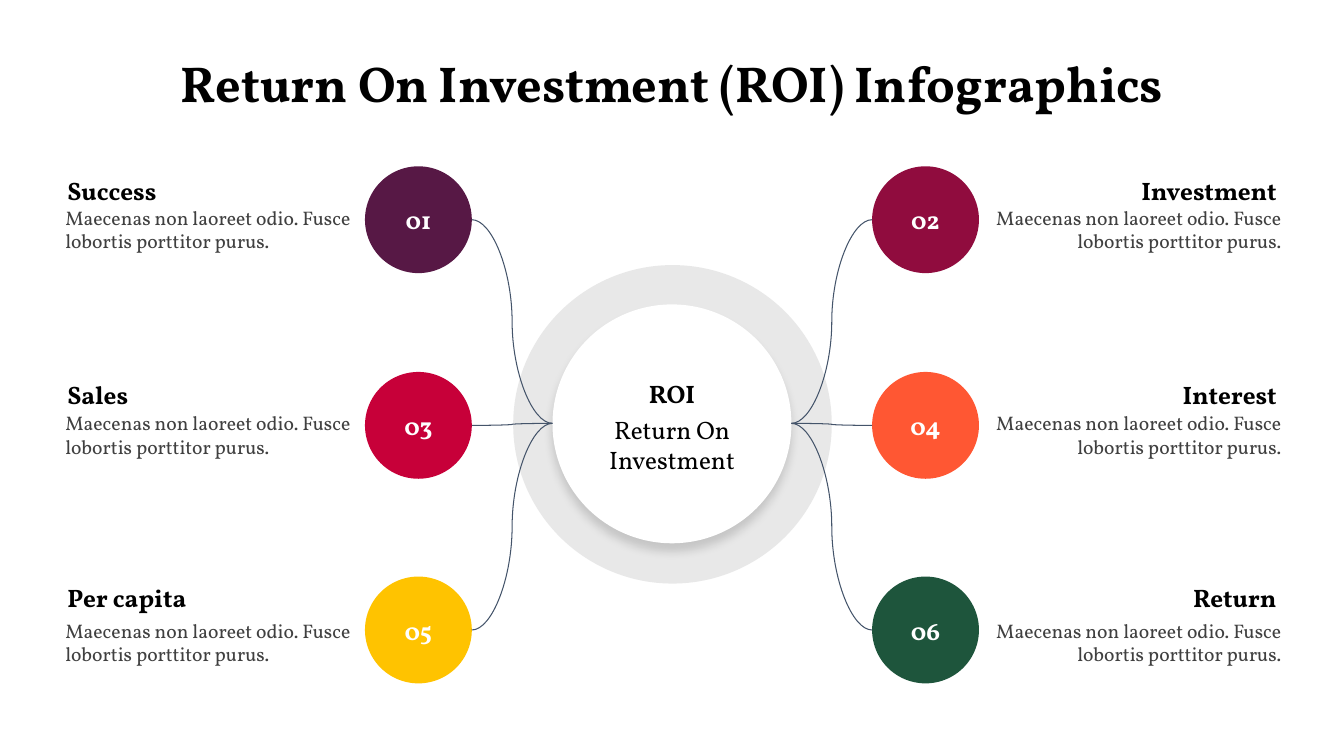
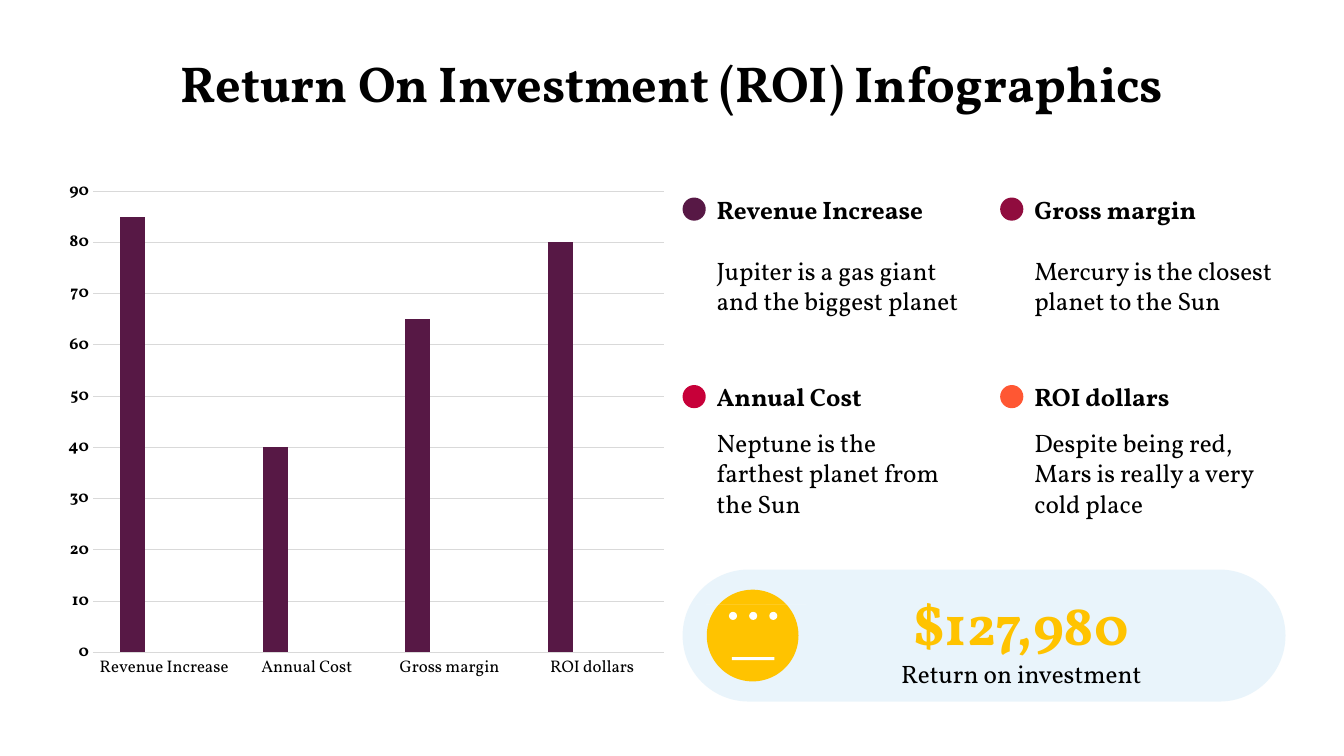
from lxml import etree
from pptx import Presentation
from pptx.chart.data import CategoryChartData
from pptx.dml.color import RGBColor
from pptx.enum.chart import XL_CHART_TYPE, XL_TICK_MARK
from pptx.enum.shapes import MSO_CONNECTOR, MSO_SHAPE
from pptx.enum.text import MSO_ANCHOR, MSO_AUTO_SIZE, PP_ALIGN
from pptx.oxml.ns import qn
from pptx.util import Inches, Pt

# Shared style
FONT = "Vollkorn"
BLACK, WHITE, DARK_GREY, LIGHT_GREY = "000000", "FFFFFF", "404040", "D9D9D9"
PLUM, WINE, RED, ORANGE = "571845", "900C3E", "C70039", "FF5733"
YELLOW, GREEN, SLATE, SKY = "FFC300", "1E553C", "44546A", "55B0E2"
TITLE = "Return On Investment (ROI) Infographics"
TITLE_STYLE = {"size": Pt(36), "bold": True}
HEADING = {"size": Pt(18), "bold": True}
BODY = {"size": Pt(18), "bold": False}
SMALL = {"size": Pt(14), "bold": False}
AMOUNT = {"size": Pt(40), "bold": True}
AXIS = {"size": Pt(12), "bold": False}
AXIS_BOLD = {"size": Pt(12), "bold": True}

# Slide 1: circle, heading and description tops, then (number, heading, colour) left and right
DESCRIPTION = "Maecenas non laoreet odio. Fusce lobortis porttitor purus."
ROWS = [
    (1.65, 1.68, 1.99, ("01", "Success", PLUM), ("02", "Investment", WINE)),
    (3.69, 3.71, 4.03, ("03", "Sales", RED), ("04", "Interest", ORANGE)),
    (5.72, 5.72, 6.09, ("05", "Per capita", YELLOW), ("06", "Return", GREEN)),
]
# circle left, heading left, description left, alignment, hub edge, circle edge
SIDES = [
    (3.62, 0.57, 0.55, PP_ALIGN.LEFT, 5.48, 4.68),
    (8.65, 9.71, 9.76, PP_ALIGN.RIGHT, 7.85, 8.65),
]
NODE_SIZE, HUB_MIDDLE = 1.06, 4.2

# Slide 2
CATEGORIES = ["Revenue Increase", "Annual Cost", "Gross margin", "ROI dollars"]
SERIES = [
    ("Series 1", [85, 40, 65, 80], PLUM),
    ("Series 2", [None] * 4, WINE),
    ("Series 3", [None] * 4, RED),
]
PLOT_LAYOUT = {"x": 0.055, "y": 0.024, "w": 0.913, "h": 0.87}
NOTES = [
    ("Revenue Increase", "Jupiter is a gas giant and the biggest planet", PLUM),
    ("Gross margin", "Mercury is the closest planet to the Sun", WINE),
    ("Annual Cost", "Neptune is the farthest planet from the Sun", RED),
    ("ROI dollars", "Despite being red, Mars is really a very cold place", ORANGE),
]
CROWN = [(7.26, 6.17), (7.28, 6.17), (7.38, 6.26), (7.47, 6.17), (7.56, 6.26),
         (7.66, 6.17), (7.68, 6.17), (7.68, 6.49), (7.26, 6.49)]
DOLLAR_HOLE = [
    (7.46, 6.27), (7.46, 6.3), (7.44, 6.3), (7.41, 6.32), (7.41, 6.35), (7.44, 6.37),
    (7.49, 6.37), (7.49, 6.39), (7.43, 6.39), (7.43, 6.42), (7.46, 6.42), (7.46, 6.45),
    (7.48, 6.45), (7.48, 6.42), (7.49, 6.42), (7.52, 6.4), (7.52, 6.36), (7.49, 6.34),
    (7.45, 6.34), (7.45, 6.33), (7.51, 6.33), (7.51, 6.3), (7.48, 6.3), (7.48, 6.27),
]


def color(value):
    return RGBColor.from_string(value)


def box(left, top, width, height):
    return [Inches(length) for length in (left, top, width, height)]


def style_font(font, values, font_color):
    for name, value in {"name": FONT, **values}.items():
        setattr(font, name, value)
    font.color.rgb = color(font_color)


def fill_shape(shape, fill, opacity=100):
    shape.shadow.inherit = False
    shape.line.fill.background()
    shape.fill.solid()
    shape.fill.fore_color.rgb = color(fill)
    if opacity < 100:
        source = shape._element.spPr.find(qn("a:solidFill"))[0]
        etree.SubElement(source, qn("a:alpha"), val=str(opacity * 1000))


def write_text(shape, text, style, font_color, align, anchor=MSO_ANCHOR.MIDDLE, inset=0.1):
    frame = shape.text_frame
    values = {"word_wrap": True, "vertical_anchor": anchor, "margin_left": Inches(0.1),
              "margin_right": Inches(0.1), "margin_top": Inches(inset),
              "margin_bottom": Inches(inset)}
    for name, value in values.items():
        setattr(frame, name, value)
    paragraph = frame.paragraphs[0]
    paragraph.alignment = align
    run = paragraph.add_run()
    run.text = text
    style_font(run.font, style, font_color)


def add_text(slide, bounds, text, style, font_color=BLACK, align=PP_ALIGN.LEFT):
    write_text(slide.shapes.add_textbox(*box(*bounds)), text, style, font_color, align)


def add_growing_text(slide, bounds, text, style, font_color, align):
    shape = slide.shapes.add_textbox(*box(*bounds))
    write_text(shape, text, style, font_color, align, MSO_ANCHOR.TOP, 0.05)
    shape.text_frame.auto_size = MSO_AUTO_SIZE.SHAPE_TO_FIT_TEXT


def add_circle(slide, left, top, size, fill, opacity=100):
    shape = slide.shapes.add_shape(MSO_SHAPE.OVAL, *box(left, top, size, size))
    fill_shape(shape, fill, opacity)
    return shape


def add_soft_shadow(shape):
    effects = shape._element.spPr.find(qn("a:effectLst"))
    shadow = etree.SubElement(effects, qn("a:outerShdw"), blurRad=str(Pt(6.8)),
                              dist=str(Pt(5.2)), dir="5400000", algn="t", rotWithShape="0")
    source = etree.SubElement(shadow, qn("a:srgbClr"), val=BLACK)
    etree.SubElement(source, qn("a:alpha"), val="15000")


def add_curve(slide, start_x, start_y, end_x, end_y):
    connector = slide.shapes.add_connector(
        MSO_CONNECTOR.CURVE, *box(start_x, start_y, end_x, end_y))
    connector.line.color.rgb = color(SLATE)
    connector.line.width = Pt(0.75)
    etree.SubElement(connector._element.spPr, qn("a:effectLst"))


def add_outline(slide, contours, fill):
    first, *others = contours
    builder = slide.shapes.build_freeform(*first[0], scale=Inches(1))
    builder.add_line_segments(first[1:], close=True)
    for contour in others:
        builder.move_to(*contour[0])
        builder.add_line_segments(contour[1:], close=True)
    fill_shape(builder.convert_to_shape(), fill)


def add_titled_slide(presentation):
    slide = presentation.slides.add_slide(presentation.slide_layouts[6])
    add_growing_text(slide, (0, 0.47, 13.33, 0.71), TITLE, TITLE_STYLE, BLACK, PP_ALIGN.CENTER)
    return slide


def add_node(slide, row, side, number, heading, fill):
    circle_top, heading_top, description_top = row
    circle_left, heading_left, description_left, align, hub_edge, circle_edge = side
    add_text(slide, (heading_left, heading_top, 3.05, 0.41), heading, HEADING, align=align)
    circle = add_circle(slide, circle_left, circle_top, NODE_SIZE, fill)
    write_text(circle, number, HEADING, WHITE, PP_ALIGN.CENTER)
    add_curve(slide, hub_edge, HUB_MIDDLE, circle_edge, circle_top + NODE_SIZE / 2)
    add_growing_text(slide, (description_left, description_top, 3.05, 0.57),
                     DESCRIPTION, SMALL, DARK_GREY, align)


def build_hub_slide(presentation):
    slide = add_titled_slide(presentation)
    # Hub
    add_circle(slide, 5.09, 2.63, 3.16, LIGHT_GREY, 60)
    add_soft_shadow(add_circle(slide, 5.48, 3.02, 2.37, WHITE))
    add_text(slide, (5.86, 3.7, 1.61, 0.41), "ROI", HEADING, align=PP_ALIGN.CENTER)
    add_text(slide, (5.86, 4.11, 1.61, 0.6), "Return On Investment", BODY,
             align=PP_ALIGN.CENTER)
    # Nodes around it
    for *row, left_node, right_node in ROWS:
        for side, node in zip(SIDES, (left_node, right_node)):
            add_node(slide, row, side, *node)


def set_plot_layout(chart):
    plot_area = chart._chartSpace.chart.plotArea
    for old_layout in plot_area.findall(qn("c:layout")):
        plot_area.remove(old_layout)
    layout = etree.Element(qn("c:layout"))
    manual = etree.SubElement(layout, qn("c:manualLayout"))
    values = {"layoutTarget": "inner", "xMode": "edge", "yMode": "edge", **PLOT_LAYOUT}
    for name, value in values.items():
        etree.SubElement(manual, qn(f"c:{name}"), val=str(value))
    plot_area.insert(0, layout)


def add_column_chart(slide):
    data = CategoryChartData()
    data.categories = CATEGORIES
    for name, values, _ in SERIES:
        data.add_series(name, values)
    chart = slide.shapes.add_chart(
        XL_CHART_TYPE.COLUMN_CLUSTERED, *box(0.58, 1.77, 6.2, 5.26), data).chart
    chart.has_legend = chart.has_title = False
    style_font(chart.font, AXIS, BLACK)
    set_plot_layout(chart)
    # Columns
    plot = chart.plots[0]
    for name, value in {"gap_width": 219, "overlap": -27, "vary_by_categories": False}.items():
        setattr(plot, name, value)
    for series, (_, _, fill) in zip(plot.series, SERIES):
        series.format.fill.solid()
        series.format.fill.fore_color.rgb = color(fill)
    # Axes
    category_axis, value_axis = chart.category_axis, chart.value_axis
    for axis, style in ((category_axis, AXIS), (value_axis, AXIS_BOLD)):
        axis.major_tick_mark = axis.minor_tick_mark = XL_TICK_MARK.NONE
        style_font(axis.tick_labels.font, style, BLACK)
    scale = {"minimum_scale": 0, "maximum_scale": 90, "major_unit": 10,
             "has_major_gridlines": True}
    for name, value in scale.items():
        setattr(value_axis, name, value)
    value_axis.format.line.fill.background()
    for line in (category_axis.format.line, value_axis.major_gridlines.format.line):
        line.color.rgb = color(LIGHT_GREY)
        line.width = Pt(0.75)


def add_note(slide, index, heading, body, fill):
    row, column = divmod(index, 2)
    left, top = 6.77 + 3.15 * column, 1.83 + 1.86 * row
    add_circle(slide, left, top + 0.13, 0.23, fill)
    add_text(slide, (left + 0.24, top, 2.6, 0.49), heading, HEADING)
    add_text(slide, (left + 0.24, top + 0.51, 2.6, 0.98), body, BODY)


def add_crown(slide):
    add_circle(slide, 7.01, 5.85, 0.91, YELLOW)
    for index in range(3):
        add_circle(slide, 7.23 + 0.2 * index, 6.07, 0.08, WHITE)
    add_outline(slide, [CROWN, DOLLAR_HOLE], WHITE)
    base = slide.shapes.add_shape(MSO_SHAPE.RECTANGLE, *box(7.26, 6.52, 0.42, 0.03))
    fill_shape(base, WHITE)


def build_chart_slide(presentation):
    slide = add_titled_slide(presentation)
    add_column_chart(slide)
    for index, note in enumerate(NOTES):
        add_note(slide, index, *note)
    # Result band
    band = slide.shapes.add_shape(MSO_SHAPE.ROUNDED_RECTANGLE, *box(6.77, 5.65, 5.98, 1.31))
    band.adjustments[0] = 0.5
    fill_shape(band, SKY, 13)
    add_crown(slide)
    add_text(slide, (7.97, 5.81, 4.32, 0.75), "$127,980", AMOUNT, YELLOW, PP_ALIGN.CENTER)
    add_text(slide, (7.97, 6.56, 4.32, 0.25), "Return on investment", BODY,
             align=PP_ALIGN.CENTER)


def main():
    presentation = Presentation()
    presentation.slide_width, presentation.slide_height = Inches(13.33), Inches(7.5)
    build_hub_slide(presentation)
    build_chart_slide(presentation)
    presentation.save("out.pptx")


if __name__ == "__main__":
    main()
